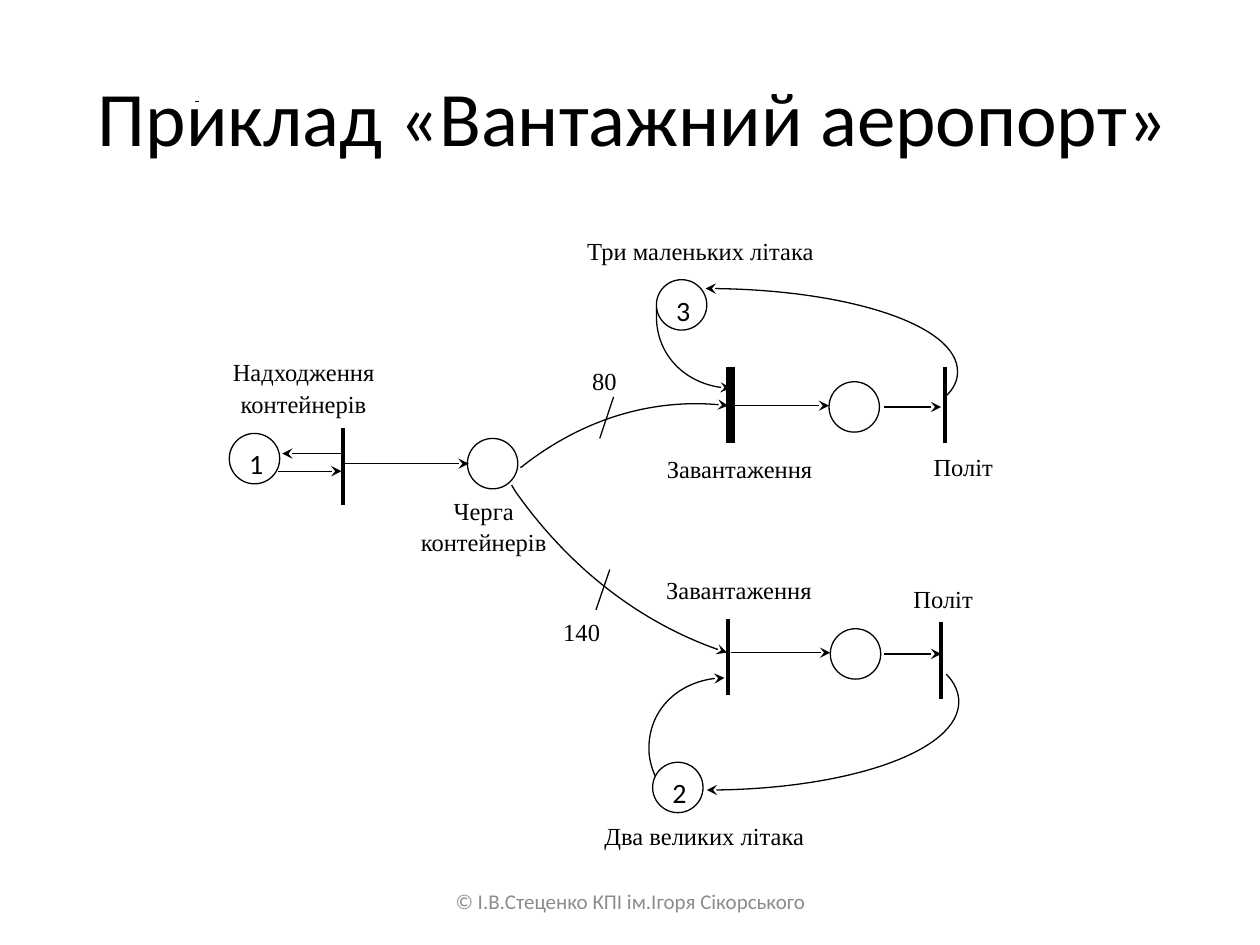
from math import cos, radians, sin

from lxml.etree import SubElement
from pptx import Presentation
from pptx.dml.color import RGBColor
from pptx.enum.shapes import MSO_CONNECTOR, MSO_SHAPE
from pptx.enum.text import MSO_ANCHOR, PP_ALIGN
from pptx.oxml.ns import qn
from pptx.util import Emu, Pt

PX = 9144  # one px is a hundredth of an inch
THEME = {
    "ink": RGBColor(0, 0, 0),
    "paper": RGBColor(255, 255, 255),
    "muted": RGBColor(0x8C, 0x8C, 0x8C),
    "sans": "Calibri",
    "serif": "Times New Roman",
    "title": 44, "token": 16, "label": 14, "footer": 12,
    "thin": 0.75, "bar": 2.25, "heavy": 5,
    "leading": 18,
}
PLACE_SIZE = 40
BAR_HEIGHT = 61

# text, (left, top, width, height), size, colour
HEADINGS = [
    ("Приклад «Вантажний аеропорт»", (52, 30, 901, 124), "title", "ink"),
    ("© І.В.Стеценко КПІ ім.Ігоря Сікорського", (342, 695, 317, 40), "footer", "muted"),
]
# lines, (left, top, width, height), alignment
LABELS = [
    (["Надходження", "контейнерів"], (153, 282, 176, 55), PP_ALIGN.CENTER),
    (["Черга контейнерів"], (316, 392, 136, 56), PP_ALIGN.CENTER),
    (["Три маленьких літака"], (427, 186, 258, 33), PP_ALIGN.CENTER),
    (["Завантаження"], (500, 359, 174, 33), PP_ALIGN.CENTER),
    (["Політ"], (699, 357, 131, 29), PP_ALIGN.CENTER),
    (["Завантаження"], (499, 455, 175, 33), PP_ALIGN.CENTER),
    (["Політ"], (683, 462, 131, 29), PP_ALIGN.CENTER),
    (["Два великих літака"], (458, 650, 202, 32), PP_ALIGN.CENTER),
    (["80"], (470, 289, 31, 28), PP_ALIGN.JUSTIFY),
    (["140"], (447, 488, 42, 28), PP_ALIGN.JUSTIFY),
]
# left, top, tokens
PLACES = [
    (182, 344, "1"), (371, 348, ""),
    (521, 222, "3"), (658, 303, ""),
    (518, 605, "2"), (659, 499, ""),
]
# x, top, weight
TRANSITIONS = [
    (272, 340, "bar"),
    (580, 291, "heavy"), (750, 291, "bar"),
    (578, 491, "bar"), (747, 494, "bar"),
]
# start, end
ARROWS = [
    ((271, 368), (372, 368)), ((221, 374), (271, 374)), ((272, 360), (224, 360)),
    ((579, 322), (658, 322)), ((702, 323), (747, 323)),
    ((580, 518), (659, 518)), ((702, 519), (747, 519)),
]
MULTIPLICITY_TICKS = [((487, 315), (476, 348)), ((484, 452), (473, 484))]
DOT = ((156, 80), (156, 80.1))
# frame, rotation, then a start and two control points and an end for each Bezier piece
CURVED_ARROWS = [
    ((449, 304, 160, 170), 322,
     [(413, 371), (414, 371), (415, 370), (416, 369), (464, 332), (523, 315), (578, 322)]),
    ((458, 285, 207, 235), 55,
     [(406, 385), (407, 387), (408, 388), (409, 390), (452, 451), (512, 497), (577, 518)]),
    ((521, 244, 59, 63), 180,
     [(521, 244), (521, 247), (521, 249), (521, 251), (521, 282), (548, 308), (580, 308)]),
    ((515, 538, 59, 79), 180,
     [(520, 616), (517, 609), (515, 602), (515, 594), (515, 563), (542, 538), (575, 538)]),
    ((560, 229, 201, 87), 0,
     [(750, 315), (757, 309), (760, 302), (760, 295), (760, 258), (670, 229), (560, 229)]),
    ((561, 535, 201, 92), 0,
     [(751, 535), (758, 542), (761, 550), (761, 557), (761, 596), (671, 627), (561, 627)]),
]


def emu(lengths):
    return [Emu(round(length * PX)) for length in lengths]


def apply(target, **values):
    for name, value in values.items():
        setattr(target, name, value)


def write(frame, lines, font, size, colour="ink", align=PP_ALIGN.CENTER, leading=None):
    for index, line in enumerate(lines):
        paragraph = frame.add_paragraph() if index else frame.paragraphs[0]
        apply(paragraph, alignment=align)
        if leading:
            paragraph.line_spacing = Pt(leading)
        run = paragraph.add_run()
        run.text = line
        apply(run.font, name=THEME[font], size=Pt(THEME[size]))
        run.font.color.rgb = THEME[colour]


def stroke(shape, weight="thin", colour="ink", arrow=False):
    shape.line.color.rgb = THEME[colour]
    shape.line.width = Pt(THEME[weight])
    if arrow:
        SubElement(shape.line._get_or_add_ln(), qn("a:tailEnd"), type="stealth")


def add_block(slide, preset, box, outline):
    shape = slide.shapes.add_shape(preset, *emu(box))
    shape.shadow.inherit = False
    shape.fill.solid()
    shape.fill.fore_color.rgb = THEME["paper"]
    stroke(shape, colour=outline)
    apply(shape.text_frame, word_wrap=True, vertical_anchor=MSO_ANCHOR.TOP)
    return shape


def add_line(slide, start, end, weight="thin", arrow=False):
    line = slide.shapes.add_connector(MSO_CONNECTOR.STRAIGHT, *emu(start + end))
    stroke(line, weight, arrow=arrow)
    SubElement(line._element.spPr, qn("a:effectLst"))


def to_frame(point, box, rotation):
    """Turn a slide point into the coordinates of a rotated frame."""
    left, top, width, height = box
    dx, dy = point[0] - left - width / 2, point[1] - top - height / 2
    c, s = cos(radians(rotation)), sin(radians(rotation))
    return width / 2 + dx * c + dy * s, height / 2 - dx * s + dy * c


def add_curved_arrow(slide, box, rotation, nodes):
    left, top, width, height = emu(box)
    builder = slide.shapes.build_freeform(left, top)
    builder.add_line_segments([(left + width, top + height)], close=False)
    curve = builder.convert_to_shape()
    outline = next(curve._element.iter(qn("a:path")))
    for segment in list(outline):
        outline.remove(segment)
    for index, node in enumerate(nodes):
        if index == 0:
            segment = SubElement(outline, qn("a:moveTo"))
        elif index % 3 == 1:
            segment = SubElement(outline, qn("a:cubicBezTo"))
        x, y = emu(to_frame(node, box, rotation))
        SubElement(segment, qn("a:pt"), x=str(int(x)), y=str(int(y)))
    curve.rotation = rotation
    curve.shadow.inherit = False
    curve.fill.background()
    stroke(curve, arrow=True)


def main():
    deck = Presentation()
    deck.slide_width, deck.slide_height = emu((1000, 750))
    slide = deck.slides.add_slide(deck.slide_layouts[6])

    for lines, box, align in LABELS:
        frame = add_block(slide, MSO_SHAPE.RECTANGLE, box, "paper").text_frame
        apply(frame, margin_left=0, margin_top=0, margin_right=0, margin_bottom=0)
        write(frame, lines, "serif", "label", align=align, leading=THEME["leading"])
    for left, top, tokens in PLACES:
        place = add_block(slide, MSO_SHAPE.OVAL, (left, top, PLACE_SIZE, PLACE_SIZE), "ink")
        if tokens:
            write(place.text_frame, [tokens], "sans", "token")
    for x, top, weight in TRANSITIONS:
        add_line(slide, (x, top), (x, top + BAR_HEIGHT), weight)
    for start, end in ARROWS:
        add_line(slide, start, end, arrow=True)
    for start, end in MULTIPLICITY_TICKS:
        add_line(slide, start, end)
    add_line(slide, *DOT, weight="bar")
    for box, rotation, nodes in CURVED_ARROWS:
        add_curved_arrow(slide, box, rotation, nodes)
    for text, box, size, colour in HEADINGS:
        frame = slide.shapes.add_textbox(*emu(box)).text_frame
        apply(frame, word_wrap=True, vertical_anchor=MSO_ANCHOR.MIDDLE)
        write(frame, [text], "sans", size, colour)

    deck.save("out.pptx")


if __name__ == "__main__":
    main()
